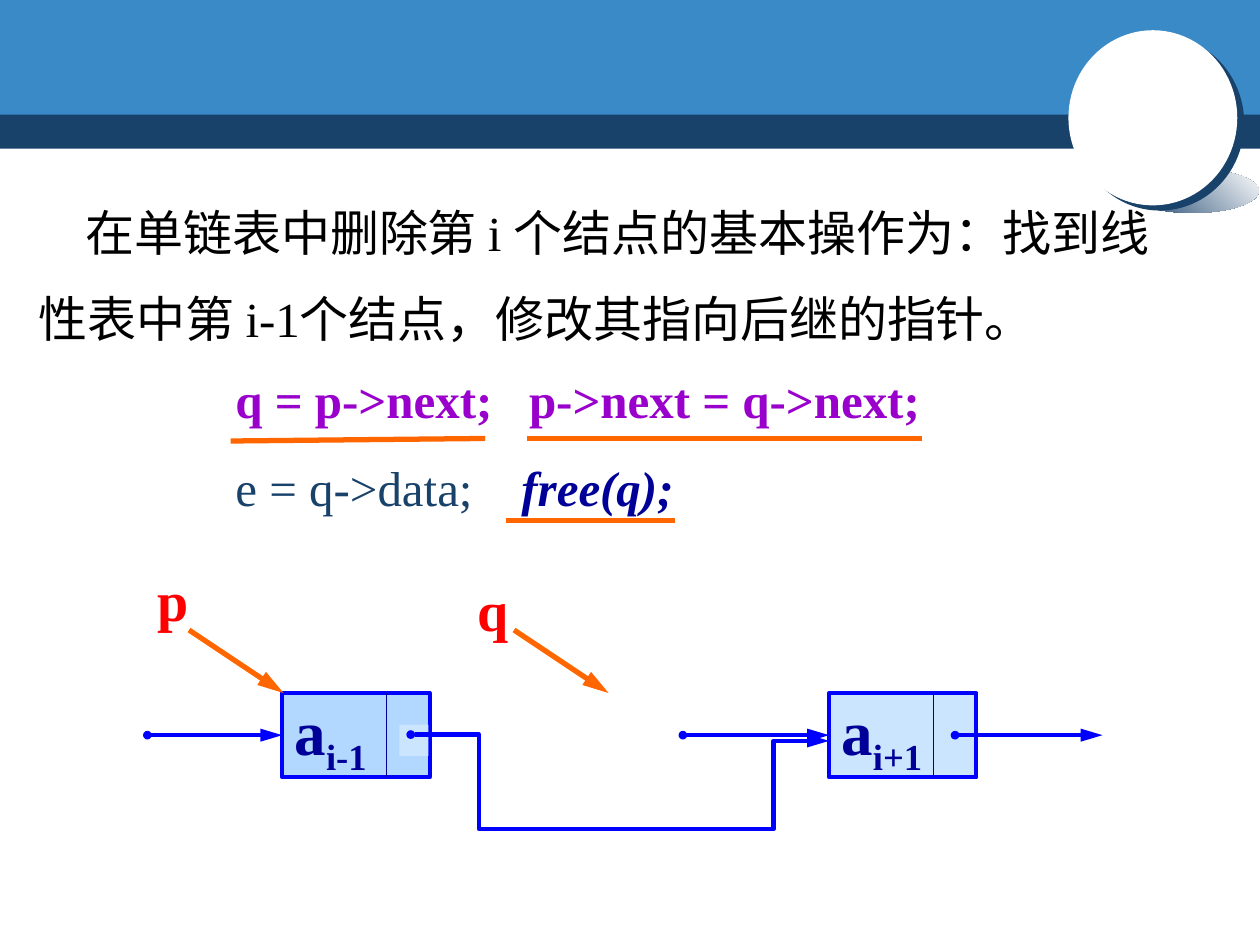
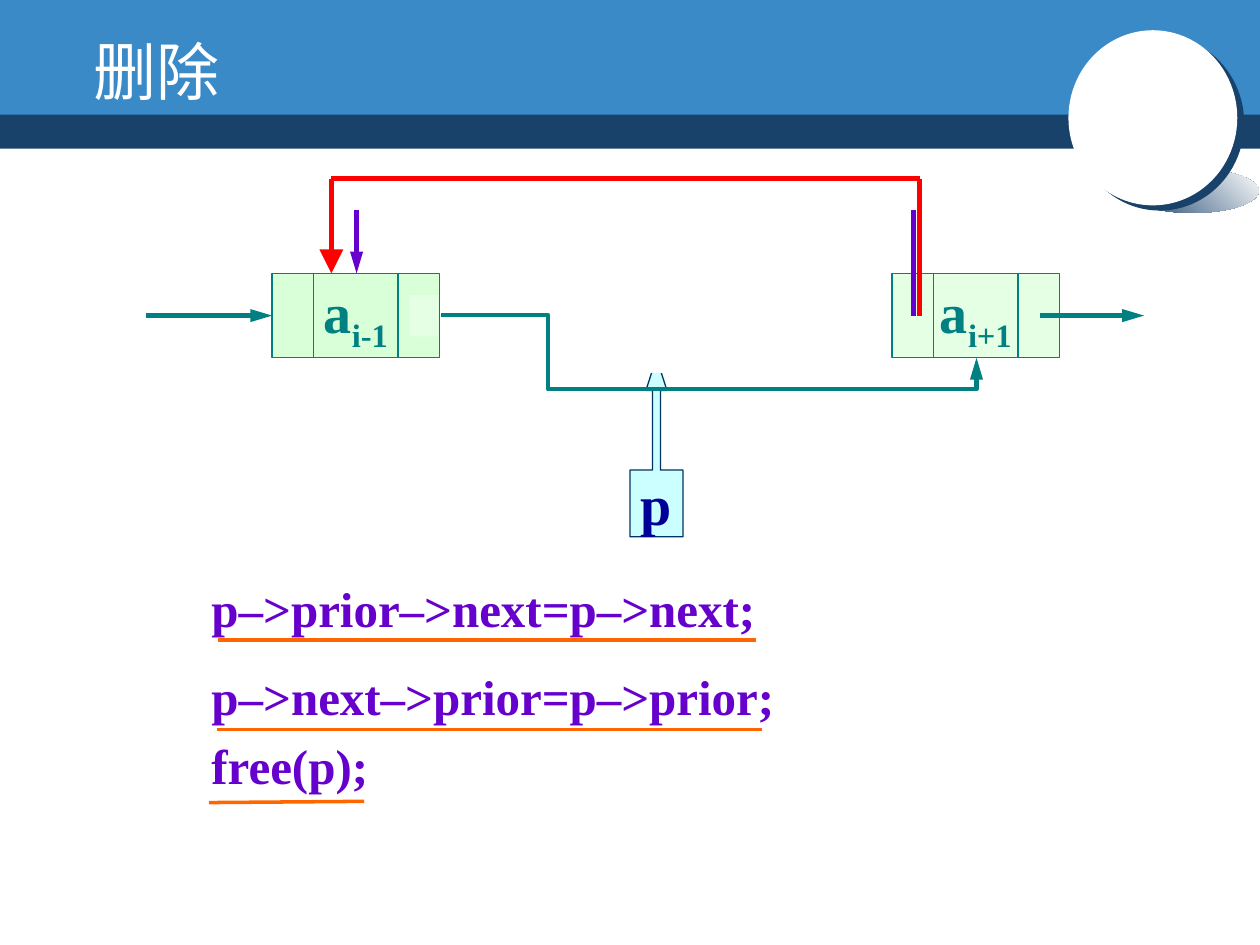
from lxml import etree
from pptx import Presentation
from pptx.dml.color import RGBColor
from pptx.enum.shapes import MSO_CONNECTOR, MSO_SHAPE
from pptx.enum.text import MSO_ANCHOR, PP_ALIGN
from pptx.oxml.ns import qn
from pptx.util import Inches, Pt

RECT, OVAL = MSO_SHAPE.RECTANGLE, MSO_SHAPE.OVAL
CALLOUT = MSO_SHAPE.UP_ARROW_CALLOUT
STRAIGHT, ELBOW = MSO_CONNECTOR.STRAIGHT, MSO_CONNECTOR.ELBOW
TOP, MIDDLE, BOTTOM = MSO_ANCHOR.TOP, MSO_ANCHOR.MIDDLE, MSO_ANCHOR.BOTTOM
LEFT, CENTER = PP_ALIGN.LEFT, PP_ALIGN.CENTER

WHITE = RGBColor(0xFF, 0xFF, 0xFF)
BLACK = RGBColor(0, 0, 0)
SKY = RGBColor(0x39, 0x8A, 0xC7)
DEEP = RGBColor(0x19, 0x42, 0x6B)
BLUE = RGBColor(0, 0, 0xFF)
NAVY = RGBColor(0, 0, 0x99)
ICE = RGBColor(0x99, 0xCC, 0xFF)
PALE = RGBColor(0xCC, 0xE5, 0xFF)
MINT = RGBColor(0xCC, 0xFF, 0xCC)
FROST = RGBColor(0xE5, 0xFF, 0xE5)
TEAL = RGBColor(0, 0x80, 0x80)
AQUA = RGBColor(0xCC, 0xFF, 0xFF)
INK = RGBColor(0, 0x33, 0x66)
RED = RGBColor(0xFF, 0, 0)
ORANGE = RGBColor(0xFF, 0x66, 0)
PURPLE = RGBColor(0x99, 0, 0xCC)
VIOLET = RGBColor(0x66, 0, 0xCC)
LATIN, ASIAN = "Times New Roman", "Noto Sans CJK SC"

INTRO = ("在单链表中删除第 i 个结点的基本操作为\uff1a找到"
         "线性表中第 i-1个结点\uff0c修改其指向后继的指针。")
TITLE = "删除"
SINGLE = [
    [("q = p->next;\t", PURPLE, "b"), ("p->next = q->next;", PURPLE, "b")],
    [("e = q->data;\t", DEEP, ""), ("free(q);", NAVY, "bi")],
]
TABS = [2.33, 2.27]
DOUBLE = ["p–>prior–>next=p–>next;", "p–>next–>prior=p–>prior;", "free(p);"]
MARKS = [
    [(1.83, 3.5, 3.85, 3.48), (4.18, 3.48, 7.32, 3.48), (4.02, 4.13, 5.36, 4.13)],
    [(1.73, 5.08, 6, 5.08), (1.72, 5.79, 6.05, 5.79), (1.66, 6.37, 2.89, 6.36)],
]
NAMES = [("p", 1.15, 4.44, 1.5), ("q", 3.69, 4.52, 4.08)]
CELLS = [
    dict(top=5.5, wide=1.17, cuts=[0.83], fill=ICE, edge=BLUE, rule=NAVY,
         ink=NAVY, size=36, width=2.25, align=LEFT, left=[2.24, 6.58]),
    dict(top=2.17, wide=1.33, cuts=[0.33, 1], fill=MINT, edge=TEAL, rule=TEAL,
         ink=TEAL, size=32, width=0.75, align=CENTER, left=[2.16, 7.08]),
]
LABELS = [("i-1", 75), ("i+1", 50)]
HIGH = 0.67


def sub(node, tag, **attrs):
    child = etree.SubElement(node, qn(tag))
    for key, val in attrs.items():
        child.set(key, str(val))
    return child


def shape(slide, kind, at, fill, edge=None, width=0.75, alpha=100):
    item = slide.shapes.add_shape(kind, *map(Inches, at))
    item.shadow.inherit = False
    item.fill.solid()
    item.fill.fore_color.rgb = fill
    if alpha < 100:
        tint = item.element.spPr.find(qn("a:solidFill"))[0]
        sub(tint, "a:alpha", val=alpha * 1000)
    if edge is None:
        item.line.fill.background()
    else:
        item.line.color.rgb = edge
        item.line.width = Pt(width)
    return item


def link(slide, ends, color, width, head="none", tail="none", kind=STRAIGHT, wide="med"):
    item = slide.shapes.add_connector(kind, *map(Inches, ends))
    item.line.color.rgb = color
    item.line.width = Pt(width)
    props = item.element.spPr
    stroke = props.find(qn("a:ln"))
    if head != "none":
        sub(stroke, "a:headEnd", type=head, w="sm", len="sm")
    if tail != "none":
        sub(stroke, "a:tailEnd", type=tail, w=wide, len="lg")
    sub(props, "a:effectLst")
    return item


def bend(item, turns):
    geom = item.element.spPr.find(qn("a:prstGeom"))
    geom.set("prst", f"bentConnector{len(turns) + 2}")
    old = geom.find(qn("a:avLst"))
    if old is not None:
        geom.remove(old)
    guides = sub(geom, "a:avLst")
    x, y = item.begin_x, item.begin_y
    wide, high = item.end_x - x, item.end_y - y
    for n, turn in enumerate(turns):
        share = (Inches(turn) - y) / high if n % 2 else (Inches(turn) - x) / wide
        sub(guides, "a:gd", name=f"adj{n + 1}", fmla=f"val {round(share * 100000)}")


def write(item, rows, size, anchor=TOP, wrap=True, align=LEFT):
    frame = item.text_frame
    frame.word_wrap = wrap
    frame.vertical_anchor = anchor
    for n, row in enumerate(rows):
        para = frame.add_paragraph() if n else frame.paragraphs[0]
        para.alignment = align
        for text, color, style in row:
            run = para.add_run()
            run.text = text
            run.font.size = Pt(size)
            run.font.name = LATIN
            run.font.color.rgb = color
            run.font.bold = "b" in style
            run.font.italic = "i" in style
    for props in item.element.iter(qn("a:rPr")):
        sub(props, "a:ea", typeface=ASIAN)
    return frame.paragraphs


def box(slide, at, rows, size, **look):
    item = slide.shapes.add_textbox(*map(Inches, at))
    lines = write(item, rows, size, **look)
    return lines, list(item.element.iter(qn("a:pPr")))


def cell(slide, plan, n):
    label, alpha = LABELS[n]
    left, top, ink = plan["left"][n], plan["top"], plan["ink"]
    item = shape(slide, RECT, (left, top, plan["wide"], HIGH),
                 plan["fill"], plan["edge"], plan["width"], alpha)
    write(item, [[("a", ink, "b"), (label, ink, "b")]], plan["size"],
          anchor=MIDDLE, align=plan["align"])
    list(item.element.iter(qn("a:rPr")))[1].set("baseline", "-25000")
    for cut in plan["cuts"]:
        link(slide, (left + cut, top, left + cut, top + HIGH), plan["rule"], 0.75)


def adorn(deck, slide):
    parts = [
        shape(slide, RECT, (0, 0.84, 10, 0.34), DEEP),
        shape(slide, RECT, (0, 0, 10, 0.91), SKY),
        shape(slide, OVAL, (8.94, 1.34, 1.05, 0.35), DEEP),
        shape(slide, OVAL, (8.48, 0.24, 1.34, 1.39), WHITE),
    ]
    glow = parts[2].fill
    glow.gradient()
    glow.gradient_angle = 45
    for stop, color, place in zip(glow.gradient_stops, (DEEP, WHITE), (0, 1)):
        stop.color.rgb = color
        stop.position = place
    effect = parts[3].element.spPr.find(qn("a:effectLst"))
    shade = sub(effect, "a:outerShdw", blurRad=0, dist=Pt(5), dir=37 * 60000,
                algn="ctr", rotWithShape=0)
    sub(shade, "a:srgbClr", val=DEEP)
    tree = deck.slide_master.element.cSld.spTree
    for n, part in enumerate(parts):
        part.element.nvSpPr.cNvPr.set("id", str(100 + n))
        tree.append(part.element)


def single(slide):
    plan = CELLS[0]
    mid = plan["top"] + HIGH / 2
    lines, props = box(slide, (0.21, 1.11, 9.02, 1.7), [[(INTRO, BLACK, "")]], 28,
                       anchor=BOTTOM)
    lines[0].line_spacing = 1.47
    props[0].set("indent", str(Inches(0.37)))
    cell(slide, plan, 0)
    shape(slide, RECT, (3.17, 5.75, 0.23, 0.25), PALE)
    cell(slide, plan, 1)
    for start, end in ((1.17, 2.24), (5.42, 6.58), (7.58, 8.75)):
        link(slide, (start, mid, end, mid), BLUE, 2.5, "oval", "triangle")
    route = link(slide, (3.26, 5.83, 6.58, 5.88), BLUE, 2.5, "oval", "triangle", ELBOW)
    bend(route, [3.8, 6.58, 6.14])
    lines, props = box(slide, (1.77, 2.65, 5.85, 1.5), SINGLE, 28, wrap=False)
    for line, prop, stop in zip(lines, props, TABS):
        line.line_spacing = 1.5
        sub(sub(prop, "a:tabLst"), "a:tab", pos=Inches(stop), algn="l")
    for name, left, top, start in NAMES:
        link(slide, (start, 5, start + 0.75, 5.5), ORANGE, 3, tail="triangle")
        box(slide, (left, top, 0.45, 0.63), [[(name, RED, "b")]], 32, wrap=False)


def double(slide):
    plan = CELLS[1]
    mid = plan["top"] + HIGH / 2
    title = slide.shapes.title
    title.left, title.top, title.width, title.height = map(Inches, (0.64, 0.21, 1.5, 0.7))
    write(title, [[(TITLE, WHITE, "")]], 36)
    cell(slide, plan, 0)
    shape(slide, RECT, (3.25, 2.34, 0.23, 0.33), FROST)
    cell(slide, plan, 1)
    for start, end in ((1.16, 2.16), (8.25, 9.08)):
        link(slide, (start, mid, end, mid), TEAL, 2.5, tail="triangle")
    rows = [[(text, VIOLET, "b")] for text in DOUBLE]
    lines, _ = box(slide, (1.58, 4.54, 6.08, 2.53), rows, 28)
    lines[0].space_before = lines[2].space_before = Pt(6)
    lines[1].line_spacing = 1.5
    link(slide, (7.25, mid, 7.25, 1.67), VIOLET, 2.5)
    link(slide, (2.83, 1.67, 2.83, plan["top"]), VIOLET, 2.5, tail="triangle")
    call = shape(slide, CALLOUT, (5, 2.84, 0.42, 1.42), AQUA, INK)
    for n, share in enumerate((0.15, 0.2, 0.617, 0.373)):
        call.adjustments[n] = share
    write(call, [[("p", NAVY, "b")]], 32, anchor=MIDDLE, wrap=False, align=CENTER)
    shape(slide, RECT, (4.52, 1.92, 2.48, 1.04), WHITE)
    route = link(slide, (3.5, 2.5, 7.75, 2.84), TEAL, 2.5, tail="triangle", kind=ELBOW)
    bend(route, [4.35, 3.09])
    link(slide, (7.3, mid, 7.3, 1.42), RED, 2.75)
    link(slide, (7.3, 1.42, 2.63, 1.42), RED, 2.75)
    link(slide, (2.63, 1.42, 2.63, plan["top"]), RED, 2.75, tail="triangle", wide="lg")


deck = Presentation()
deck.slide_width, deck.slide_height = Inches(10), Inches(7.5)
for n, (draw, layout, width) in enumerate(((single, 6, 3), (double, 5, 2))):
    slide = deck.slides.add_slide(deck.slide_layouts[layout])
    if n == 0:
        adorn(deck, slide)
    draw(slide)
    for ends in MARKS[n]:
        link(slide, ends, ORANGE, width)
deck.save("out.pptx")
